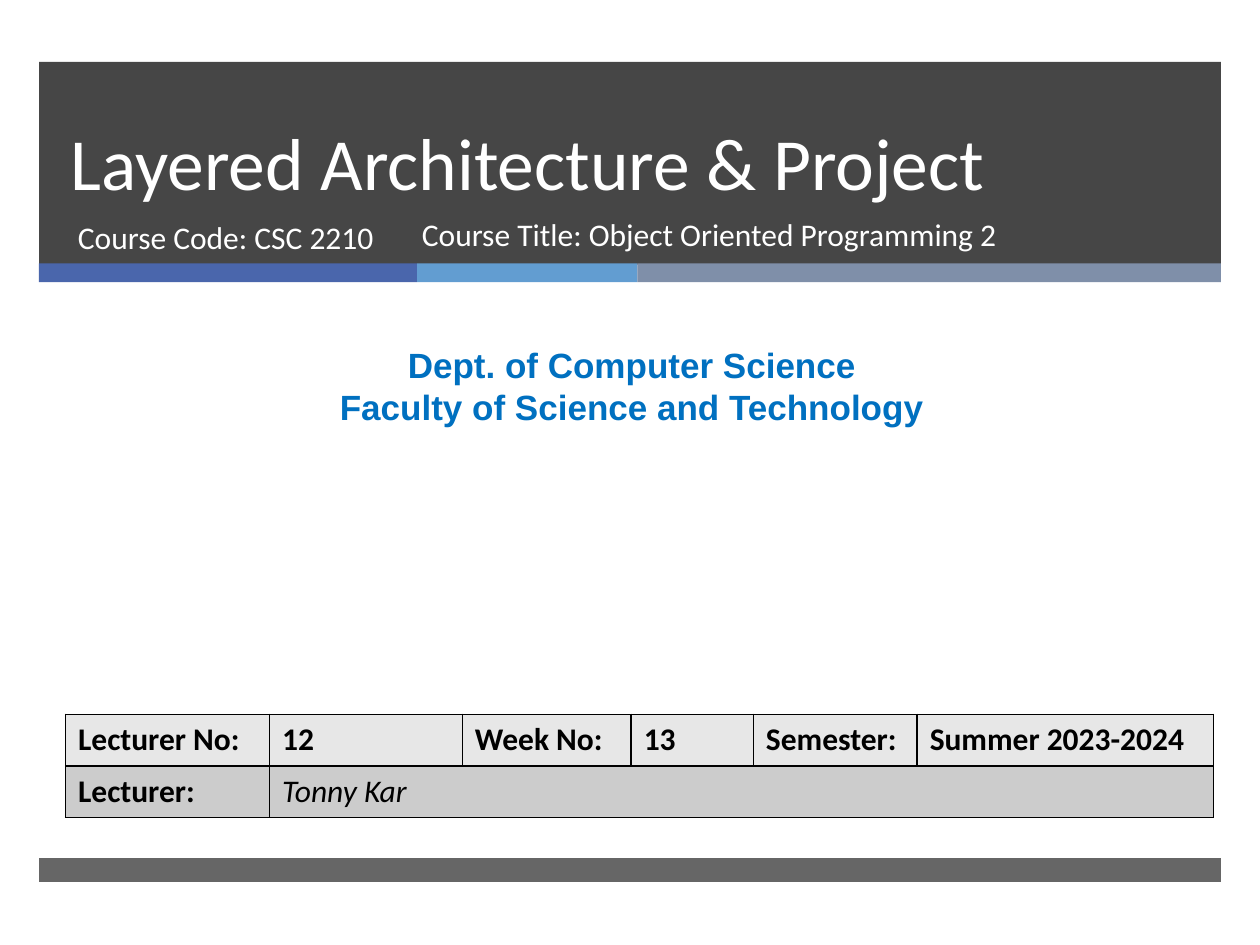
"""Build the opening slide of a lecture on layered architecture."""
from dataclasses import dataclass

import lxml.etree
import pptx
import pptx.dml.color
import pptx.enum.shapes
import pptx.enum.text
import pptx.oxml.ns
import pptx.util

Inches = pptx.util.Inches
Pt = pptx.util.Pt
Align = pptx.enum.text.PP_ALIGN
Anchor = pptx.enum.text.MSO_ANCHOR
qn = pptx.oxml.ns.qn


@dataclass(frozen=True)
class Theme:
    dark: str = "262626"
    bands: tuple = ("4A66AC", "629DD1", "7F8FA9")
    white: str = "FFFFFF"
    black: str = "000000"
    blue: str = "0070C0"
    rows: tuple = ("E7E7E7", "CCCCCC")
    head: int = 42
    dept: int = 20
    body: int = 18
    sans: str = "Calibri"
    plain: str = "Arial"


THEME = Theme()
LEFT, WIDTH = 0.31, 9.38
BANDS = (3, 1.75, 4.63)
COLS = (1.62, 1.53, 1.34, 0.97, 1.3, 2.35)
TERM = ("Lecturer No:", "12", "Week No:", "13", "Semester:", "Summer 2023-2024")


def rgb(code):
    return pptx.dml.color.RGBColor.from_string(code)


def add_bar(slide, x, y, w, h, color, alpha=100):
    bar = slide.shapes.add_shape(
        pptx.enum.shapes.MSO_SHAPE.RECTANGLE,
        Inches(x), Inches(y), Inches(w), Inches(h))
    bar.shadow.inherit = False
    bar.fill.solid()
    bar.fill.fore_color.rgb = rgb(color)
    bar.line.fill.background()
    if alpha < 100:
        tint = bar.element.spPr.find(qn("a:solidFill"))[0]
        lxml.etree.SubElement(tint, qn("a:alpha"), val=str(alpha * 1000))


def add_run(para, text, size, color, font=THEME.sans, bold=False, italic=False):
    run = para.add_run()
    run.text = text
    run.font.size = Pt(size)
    run.font.name = font
    run.font.bold = bold
    run.font.italic = italic
    run.font.color.rgb = rgb(color)


def set_title(slide, text, x, y, w, h):
    title = slide.shapes.title
    title.left, title.top = Inches(x), Inches(y)
    title.width, title.height = Inches(w), Inches(h)
    slide.shapes.element.append(title.element)
    frame = title.text_frame
    frame.auto_size = pptx.enum.text.MSO_AUTO_SIZE.NONE
    frame.vertical_anchor = Anchor.BOTTOM
    para = frame.paragraphs[0]
    para.alignment = Align.LEFT
    para.line_spacing = Pt(46)
    add_run(para, text, THEME.head, THEME.white)


def add_text(slide, lines, x, y, w, h, align=Align.LEFT, **style):
    box = slide.shapes.add_textbox(Inches(x), Inches(y), Inches(w), Inches(h))
    frame = box.text_frame
    frame.word_wrap = True
    for i, line in enumerate(lines):
        para = frame.add_paragraph() if i else frame.paragraphs[0]
        para.alignment = align
        add_run(para, line, **style)


def fill_cell(cell, text, color, **style):
    props = cell._tc.get_or_add_tcPr()
    for side in ("lnL", "lnR", "lnT", "lnB"):
        line = lxml.etree.SubElement(props, qn(f"a:{side}"), w=str(Pt(1)))
        paint = lxml.etree.SubElement(line, qn("a:solidFill"))
        lxml.etree.SubElement(paint, qn("a:srgbClr"), val=THEME.black)
    cell.fill.solid()
    cell.fill.fore_color.rgb = rgb(color)
    if text:
        add_run(cell.text_frame.paragraphs[0], text, THEME.body, THEME.black,
                **style)


def add_grid(slide, x, y, high):
    table = slide.shapes.add_table(
        2, len(COLS), Inches(x), Inches(y),
        Inches(sum(COLS)), Inches(2 * high)).table
    for row in table.rows:
        row.height = Inches(high)
    for col, wide in zip(table.columns, COLS):
        col.width = Inches(wide)
    table.cell(1, 1).merge(table.cell(1, len(COLS) - 1))
    names = ("Lecturer:", "Tonny Kar") + ("",) * (len(COLS) - 2)
    for c, (term, name) in enumerate(zip(TERM, names)):
        fill_cell(table.cell(0, c), term, THEME.rows[0], bold=True)
        fill_cell(table.cell(1, c), name, THEME.rows[1],
                  bold=c == 0, italic=c > 0)


def main():
    deck = pptx.Presentation()
    deck.slide_width, deck.slide_height = Inches(10), Inches(7.5)
    slide = deck.slides.add_slide(deck.slide_layouts[5])

    add_bar(slide, LEFT, 0.49, WIDTH, 1.61, THEME.dark, 85)
    x = LEFT
    for wide, color in zip(BANDS, THEME.bands):
        add_bar(slide, x, 2.09, wide, 0.15, color)
        x += wide
    add_bar(slide, LEFT, 6.81, WIDTH, 0.19, THEME.dark, 70)

    set_title(slide, "Layered Architecture & Project", 0.46, 0.49, 8.54, 1.19)
    note = dict(size=THEME.body, color=THEME.white)
    add_text(slide, ["Course Code: CSC 2210"], 0.52, 1.68, 3.05, 0.53, **note)
    add_text(slide,
             ["Dept. of Computer Science", "Faculty of Science and Technology"],
             0.08, 2.68, 9.87, 0.77, Align.CENTER, size=THEME.dept,
             color=THEME.blue, font=THEME.plain, bold=True)
    add_grid(slide, 0.52, 5.67, 0.41)
    add_text(slide, ["Course Title: Object Oriented Programming 2"],
             3.25, 1.66, 5.11, 0.53, **note)
    deck.save("out.pptx")


if __name__ == "__main__":
    main()
